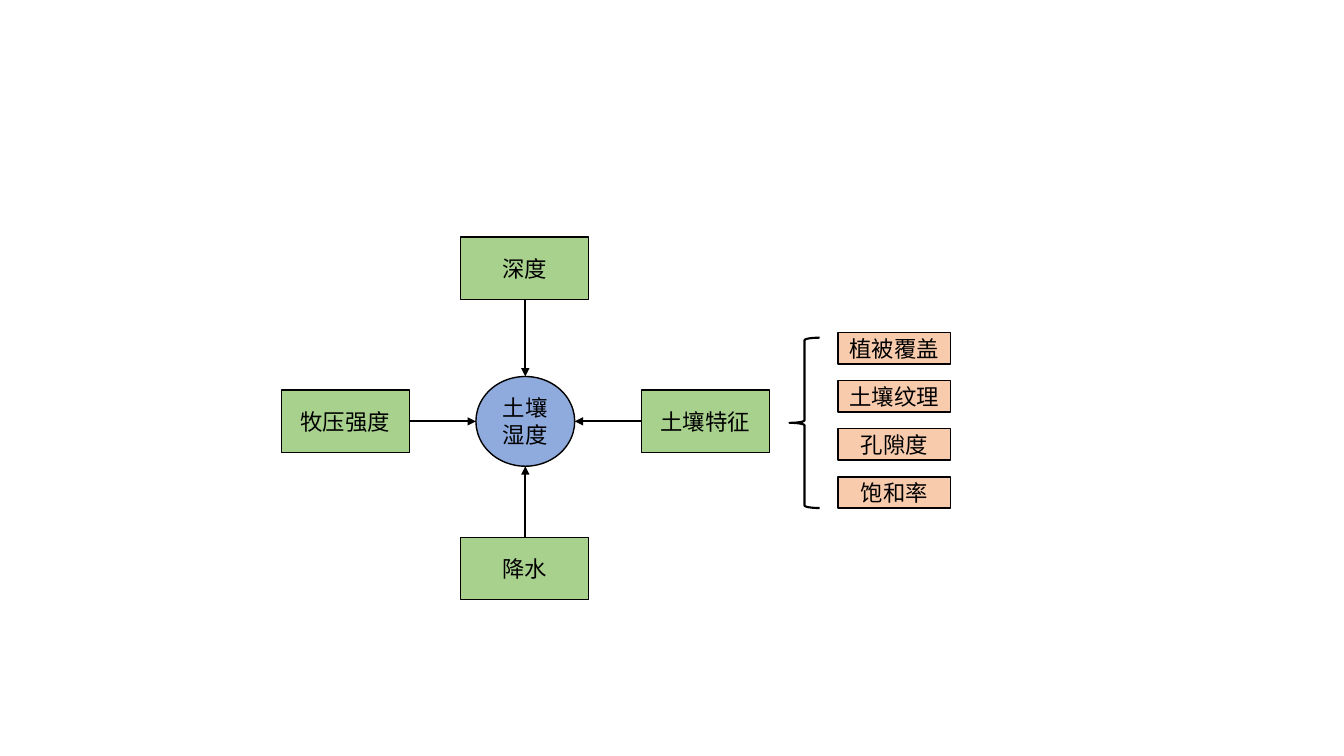
"""Build a slide showing the factors that drive soil moisture."""
from pptx import Presentation, util as u
from pptx.dml.color import RGBColor
from pptx.enum import shapes as sh, text as tx
from pptx.oxml.ns import qn
from lxml import etree

FONT = "Noto Sans CJK SC"
HUES = {"ink": "000000", "green": "A9D18E", "blue": "8FAADC", "peach": "F8CBAD"}
KIND = sh.MSO_SHAPE

deck = Presentation()
deck.slide_width, deck.slide_height = u.Inches(13.33), u.Inches(7.5)
slide = deck.slides.add_slide(deck.slide_layouts[6])
ink = RGBColor.from_string(HUES["ink"])


def add_node(words, *, box, fill=None, kind=KIND.RECTANGLE, width=1, size=16):
    node = slide.shapes.add_shape(kind, *[u.Inches(v) for v in box])
    node.shadow.inherit = False
    node.line.color.rgb = ink
    node.line.width = u.Pt(width)
    if fill:
        node.fill.solid()
        node.fill.fore_color.rgb = RGBColor.from_string(HUES[fill])
    else:
        node.fill.background()
    if words:
        frame = node.text_frame
        frame.word_wrap = True
        frame.vertical_anchor = tx.MSO_ANCHOR.MIDDLE
        para = frame.paragraphs[0]
        para.alignment = tx.PP_ALIGN.CENTER
        run = para.add_run()
        run.text = words
        run.font.size = u.Pt(size)
        run.font.name = FONT
        run.font.color.rgb = ink
        east = etree.SubElement(run.font._element, qn("a:ea"))
        east.set("typeface", FONT)


def add_arrow(start, end):
    line = slide.shapes.add_connector(
        sh.MSO_CONNECTOR.STRAIGHT, *[u.Inches(v) for v in start + end])
    line.line.color.rgb = ink
    line.line.width = u.Pt(1.5)
    etree.SubElement(line.line._get_or_add_ln(), qn("a:tailEnd"), type="triangle")
    etree.SubElement(line._element.spPr, qn("a:effectLst"))


mid_x, mid_y = 5.21, 4.18
wide, high = 1.27, 0.62
round_w, round_h = 0.98, 0.89

factors = [
    ("牧压强度", 2.79, 3.87, -1, 0),
    ("深度", 4.57, 2.35, 0, -1),
    ("土壤特征", 6.36, 3.87, 1, 0),
    ("降水", 4.57, 5.33, 0, 1),
]
for words, left, top, dx, dy in factors:
    add_node(words, box=(left, top, wide, high), fill="green")
    if dx:
        start = (left + wide * (1 - dx) / 2, mid_y)
    else:
        start = (mid_x, top + high * (1 - dy) / 2)
    add_arrow(start, (mid_x + dx * round_w / 2, mid_y + dy * round_h / 2))

add_node("土壤湿度", fill="blue", kind=KIND.OVAL,
         box=(mid_x - round_w / 2, mid_y - round_h / 2, round_w, round_h))

for row, words in enumerate(["植被覆盖", "土壤纹理", "孔隙度", "饱和率"]):
    add_node(words, box=(8.31, 3.3 + row * 0.477, 1.12, 0.31), fill="peach")

add_node("", box=(7.83, 3.35, 0.3, 1.69), kind=KIND.LEFT_BRACE, width=1.5)

deck.save("out.pptx")
